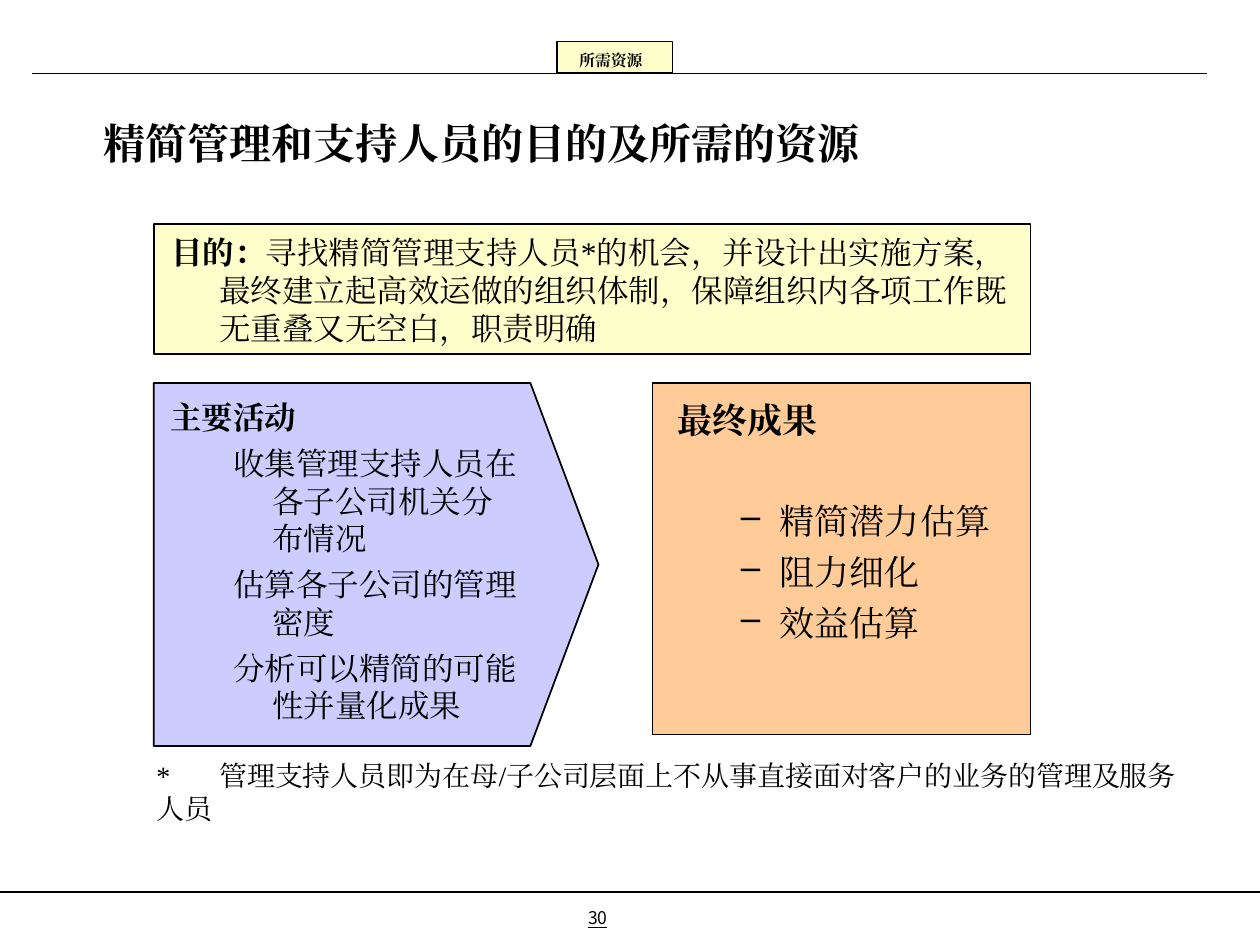
from dataclasses import dataclass

from lxml import etree
from pptx import Presentation
from pptx.dml.color import RGBColor
from pptx.enum import shapes, text
from pptx.oxml import ns
from pptx.util import Inches, Pt


@dataclass(frozen=True)
class Theme:
    """Colours, fonts and type sizes of the slide."""
    ink: str = "000000"
    cream: str = "FFFFCC"
    lilac: str = "CCCCFF"
    peach: str = "FFCC99"
    serif: str = "Times New Roman"
    sans: str = "Noto Sans CJK SC"
    title: int = 24
    result: int = 20
    body: int = 18
    note: int = 16
    page: int = 10
    tag: int = 9
    leading: float = 1.2


T = Theme()
PADDED = (0.1, 0.05)
HEAD = (0.38, -0.38)
ITEM = (0.81, -0.31)


def color(value):
    """Turn a hex string into a colour."""
    return RGBColor.from_string(value)


def style(s, fill, width=1):
    """Give a shape a flat fill and a dark outline."""
    s.shadow.inherit = False
    s.fill.solid()
    s.fill.fore_color.rgb = color(fill)
    s.line.color.rgb = color(T.ink)
    s.line.width = Pt(width)


def add_panel(slide, box, fill, width=1):
    """Add a filled rectangle."""
    s = slide.shapes.add_shape(shapes.MSO_SHAPE.RECTANGLE, *map(Inches, box))
    style(s, fill, width)


def add_arrow_panel(slide, left, top, shoulder, tip, bottom, fill):
    """Add a panel whose right side comes to a point."""
    points = [(shoulder, top), (tip, (top + bottom) / 2), (shoulder, bottom), (left, bottom)]
    builder = slide.shapes.build_freeform(Inches(left), Inches(top))
    builder.add_line_segments([(Inches(x), Inches(y)) for x, y in points], close=True)
    style(builder.convert_to_shape(), fill)


def add_rule(slide, left, right, y, width):
    """Add a horizontal line."""
    s = slide.shapes.add_connector(shapes.MSO_CONNECTOR.STRAIGHT, Inches(left), Inches(y),
                                   Inches(right), Inches(y))
    s.line.color.rgb = color(T.ink)
    s.line.width = Pt(width)
    etree.SubElement(s._element.spPr, ns.qn("a:effectLst"))


def add_text(slide, box, inset=(0, 0), wrap=True, anchor=text.MSO_ANCHOR.TOP):
    """Add an empty text box and return its frame."""
    tf = slide.shapes.add_textbox(*map(Inches, box)).text_frame
    tf.word_wrap = wrap
    tf.vertical_anchor = anchor
    tf.margin_left = tf.margin_right = Inches(inset[0])
    tf.margin_top = tf.margin_bottom = Inches(inset[1])
    return tf


def add_paragraph(tf, runs, size, indent=(0, 0), before=0, bullet=None, tab=None,
                  font=T.serif, underline=False):
    """Write (text, bold) runs into the next paragraph of a frame."""
    first = tf.paragraphs[0]
    p = tf.add_paragraph() if first.runs else first
    pPr = p._p.get_or_add_pPr()
    pPr.set("marL", str(Inches(indent[0])))
    pPr.set("indent", str(Inches(indent[1])))
    if bullet:
        etree.SubElement(pPr, ns.qn("a:buChar"), char=bullet)
    if tab:
        tabs = etree.SubElement(pPr, ns.qn("a:tabLst"))
        etree.SubElement(tabs, ns.qn("a:tab"), pos=str(Inches(tab)), algn="l")
    if indent == ITEM:
        p.level = 1
    if before:
        p.space_before = Pt(before)
    if font == T.serif:
        p.line_spacing = Pt(round(size * T.leading, 1))
    for words, bold in runs:
        r = p.add_run()
        r.text = words
        r.font.size = Pt(size)
        r.font.name = font
        r.font.bold = bold
        r.font.underline = underline
        r.font.color.rgb = color(T.ink)
        etree.SubElement(r._r.get_or_add_rPr(), ns.qn("a:ea"), typeface=font)


def add_list(slide, box, heading, items, size, gap, first_gap, bullet=None):
    """Add a bold heading with indented items below it."""
    tf = add_text(slide, box)
    add_paragraph(tf, [(heading, True)], size, HEAD)
    for i, item in enumerate(items):
        add_paragraph(tf, [(item, False)], size, ITEM, gap if i else first_gap, bullet)


def main():
    """Build the slide and save it."""
    prs = Presentation()
    prs.slide_width, prs.slide_height = Inches(10), Inches(7.5)
    slide = prs.slides.add_slide(prs.slide_layouts[6])

    add_panel(slide, (5.18, 3.04, 3, 2.79), T.peach)
    add_arrow_panel(slide, 1.22, 3.04, 4.21, 4.75, 5.92, T.lilac)
    add_panel(slide, (1.22, 1.78, 6.96, 1.03), T.cream)

    tf = add_text(slide, (0.82, 0.93, 6.18, 0.4))
    add_paragraph(tf, [("精简管理和支持人员的目的及所需的资源", True)], T.title)

    tf = add_text(slide, (1.36, 1.85, 6.82, 0.9))
    purpose = "寻找精简管理支持人员*的机会，并设计出实施方案，最终建立起高效运做的组织体制，保障组织内各项工作既无重叠又无空白，职责明确"
    add_paragraph(tf, [("目的：", True), (purpose, False)], T.body, HEAD)

    activities = ["收集管理支持人员在各子公司机关分布情况", "估算各子公司的管理密度", "分析可以精简的可能性并量化成果"]
    add_list(slide, (1.35, 3.16, 2.8, 2.59), "主要活动", activities, T.body, 4.5, 4.5)
    results = ["精简潜力估算", "阻力细化", "效益估算"]
    add_list(slide, (5.38, 3.16, 2.76, 1.94), "最终成果", results, T.result, 5, 34, "–")

    tf = add_text(slide, (1.24, 6.01, 8.29, 0.54), anchor=text.MSO_ANCHOR.BOTTOM)
    note = "*\t管理支持人员即为在母/子公司层面上不从事直接面对客户的业务的管理及服务人员"
    add_paragraph(tf, [(note, False)], T.note, tab=1.01)

    add_rule(slide, 0, 10, 7.08, 1)
    tf = add_text(slide, (4.57, 7.15, 0.36, 0.27), PADDED, wrap=False)
    add_paragraph(tf, [("30", False)], T.page, font=T.sans, underline=True)

    add_panel(slide, (4.42, 0.33, 0.92, 0.25), T.cream, 0.75)
    tf = add_text(slide, (4.5, 0.35, 0.7, 0.25), PADDED, wrap=False)
    add_paragraph(tf, [("所需资源", True)], T.tag)
    add_rule(slide, 0.25, 9.58, 0.58, 0.25)

    prs.save("out.pptx")


if __name__ == "__main__":
    main()
